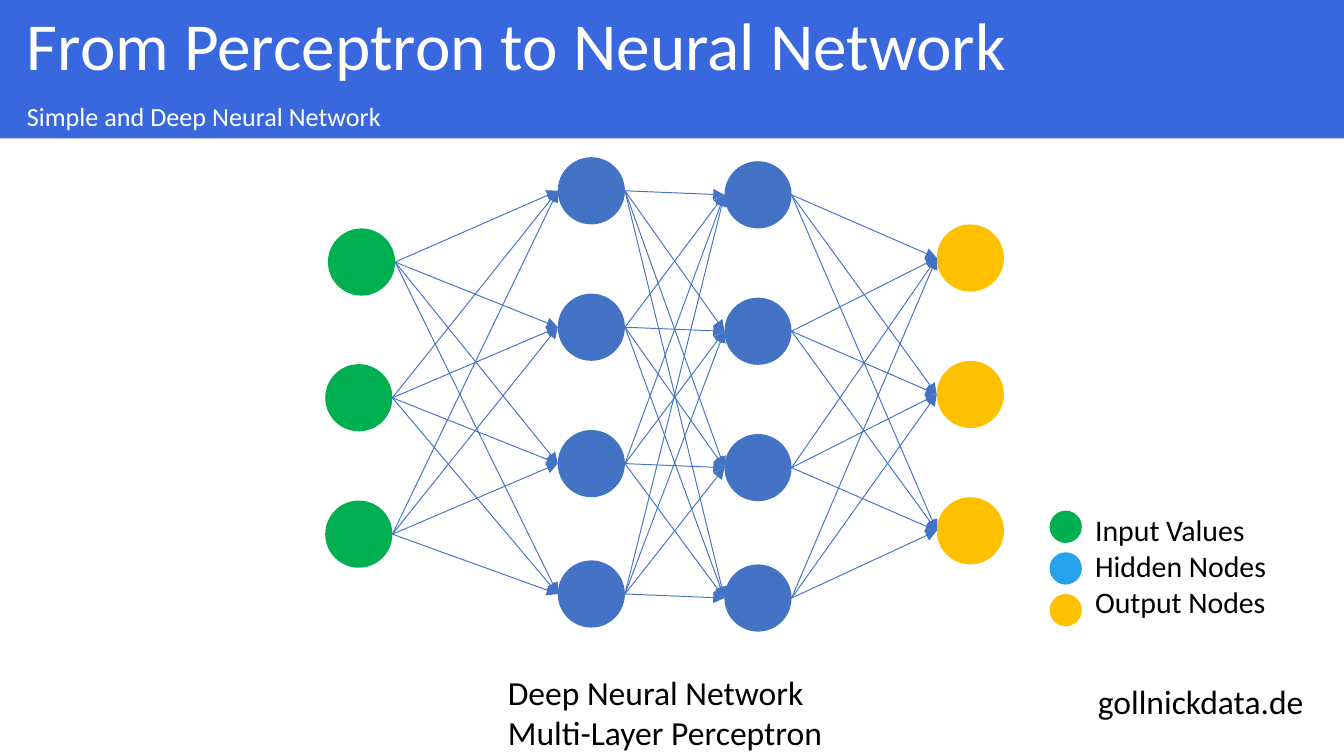
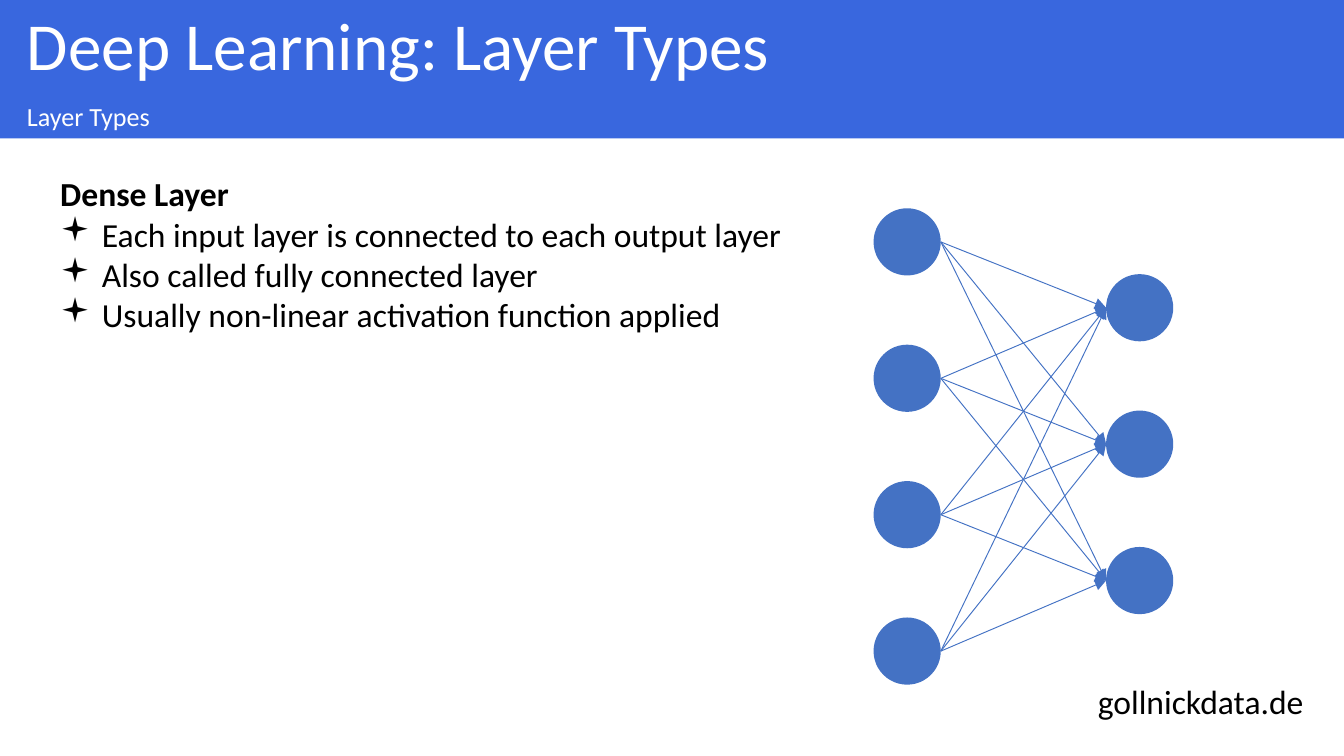
from lxml import etree
from pptx import Presentation
from pptx.dml.color import RGBColor
from pptx.enum.shapes import MSO_CONNECTOR, MSO_SHAPE
from pptx.enum.text import MSO_ANCHOR, MSO_AUTO_SIZE, PP_ALIGN
from pptx.oxml.ns import qn
from pptx.util import Inches, Pt

LINE = MSO_CONNECTOR.STRAIGHT
OVAL, RECT = MSO_SHAPE.OVAL, MSO_SHAPE.RECTANGLE
TOP, MIDDLE = MSO_ANCHOR.TOP, MSO_ANCHOR.MIDDLE
LEFT = PP_ALIGN.LEFT
NO_FIT = MSO_AUTO_SIZE.NONE

FONT = "Calibri"
BAND, WHITE, BLACK = "3967DE", "FFFFFF", "000000"
GREEN, BLUE, SKY, AMBER = "00B050", "4472C4", "26A1EB", "FFC000"
NODE = 0.5          # node diameter
PITCH = 2.03 / 2    # three nodes span 2.03 inches


def rgb(value):
    return RGBColor.from_string(value)


def place(sp, left, top, width, height):
    sp.left, sp.top = Inches(left), Inches(top)
    sp.width, sp.height = Inches(width), Inches(height)


def add_bullet(p):
    pPr = p._p.get_or_add_pPr()
    pPr.set("marL", str(Inches(0.31)))
    pPr.set("indent", str(Inches(-0.31)))
    etree.SubElement(pPr, qn("a:buFont")).set("typeface", "Wingdings")
    etree.SubElement(pPr, qn("a:buChar")).set("char", "▪")


def write(sp, lines, size=18, color=BLACK, bold_first=False, bullets_from=None,
          anchor=TOP, inset=0.1, spacing=None):
    """Fill a shape with one paragraph per line."""
    tf = sp.text_frame
    tf.word_wrap = True
    tf.auto_size = NO_FIT
    tf.vertical_anchor = anchor
    tf.margin_left, tf.margin_right = Inches(inset), Inches(0.1)
    tf.margin_top = tf.margin_bottom = Inches(0.05)
    for i, line in enumerate(lines):
        p = tf.paragraphs[0] if i == 0 else tf.add_paragraph()
        p.alignment = LEFT
        p.space_before = Pt(0)
        if spacing:
            p.line_spacing = spacing
        if bullets_from is not None and i >= bullets_from:
            add_bullet(p)
        r = p.add_run()
        r.text = line
        r.font.name, r.font.size = FONT, Pt(size)
        r.font.bold = bold_first and i == 0
        r.font.color.rgb = rgb(color)


def add_text(s, lines, left, top, width, height, **fmt):
    sp = s.shapes.add_textbox(0, 0, 0, 0)
    place(sp, left, top, width, height)
    write(sp, lines, **fmt)


def add_filled(s, kind, left, top, width, height, color):
    sp = s.shapes.add_shape(kind, 0, 0, 0, 0)
    place(sp, left, top, width, height)
    sp.fill.solid()
    sp.fill.fore_color.rgb = rgb(color)
    sp.line.fill.background()
    sp.shadow.inherit = False
    return sp


def add_arrow(s, x1, y1, x2, y2):
    cx = s.shapes.add_connector(LINE, Inches(x1), Inches(y1), Inches(x2), Inches(y2))
    cx.line.color.rgb = rgb(BLUE)
    cx.line.width = Pt(0.5)
    etree.SubElement(cx.line._get_or_add_ln(), qn("a:tailEnd")).set("type", "triangle")
    etree.SubElement(cx._element.spPr, qn("a:effectLst"))


def column(left, top, count):
    """Top-left corners of evenly spaced nodes."""
    return [(left, top + i * PITCH) for i in range(count)]


def add_network(s, layers):
    """Draw (nodes, colour) layers, each fully connected to the next."""
    for nodes, color in layers:
        for x, y in nodes:
            add_filled(s, OVAL, x, y, NODE, NODE, color)
    for (sources, _), (targets, _) in zip(layers, layers[1:]):
        for x1, y1 in sources:
            for x2, y2 in targets:
                add_arrow(s, x1 + NODE, y1 + NODE / 2, x2, y2 + NODE / 2)


def add_legend(s, entries):
    for i, (_, color) in enumerate(entries):
        add_filled(s, OVAL, 7.81, 3.8 + i * 0.31, 0.24, 0.24, color)
    add_text(s, [label for label, _ in entries], 8.05, 3.76, 1.62, 0.91, size=16)


def add_slide(prs, title, subtitle):
    s = prs.slides.add_slide(prs.slide_layouts[5])
    band = dict(color=WHITE, anchor=MIDDLE, inset=0.2, spacing=0.9)
    # Title band, reaching just under the subtitle band so no seam shows
    sp = s.shapes.title
    place(sp, 0, 0, 10, 0.73)
    sp.fill.solid()
    sp.fill.fore_color.rgb = rgb(BAND)
    write(sp, [title], size=36, **band)
    # Subtitle band
    sp = add_filled(s, RECT, 0, 0.72, 10, 0.31, BAND)
    write(sp, [subtitle], size=14, **band)
    # Footer
    add_text(s, ["gollnickdata.de"], 8.07, 5.02, 1.89, 0.4)
    return s


def build_network_slide(prs):
    s = add_slide(prs, "From Perceptron to Neural Network",
                  "Simple and Deep Neural Network")
    add_text(s, ["Deep Neural Network", "Multi-Layer Perceptron"],
             3.68, 4.95, 2.75, 0.71)
    # The top input and the bottom hidden nodes sit slightly off the grid
    inputs = [(2.44, 1.7)] + column(2.42, 2.71, 2)
    hidden_1 = column(4.15, 1.17, 3) + [(4.15, 4.17)]
    hidden_2 = column(5.39, 1.2, 3) + [(5.39, 4.2)]
    outputs = column(6.97, 1.67, 3)
    add_network(s, [(inputs, GREEN), (hidden_1, BLUE),
                    (hidden_2, BLUE), (outputs, AMBER)])
    add_legend(s, [("Input Values", GREEN), ("Hidden Nodes", SKY),
                   ("Output Nodes", AMBER)])


def build_layer_slide(prs):
    s = add_slide(prs, "Deep Learning: Layer Types", "Layer Types")
    add_text(s, ["Dense Layer",
                 "Each input layer is connected to each output layer",
                 "Also called fully connected layer",
                 "Usually non-linear activation function applied"],
             0.35, 1.24, 5.83, 1.92, bold_first=True, bullets_from=1)
    add_network(s, [(column(6.5, 1.55, 4), BLUE), (column(8.23, 2.04, 3), BLUE)])


def main():
    prs = Presentation()
    # 16:9 page
    prs.slide_width = Inches(10)
    prs.slide_height = Inches(10 * 9 / 16)
    build_network_slide(prs)
    build_layer_slide(prs)
    prs.save("out.pptx")


if __name__ == "__main__":
    main()
